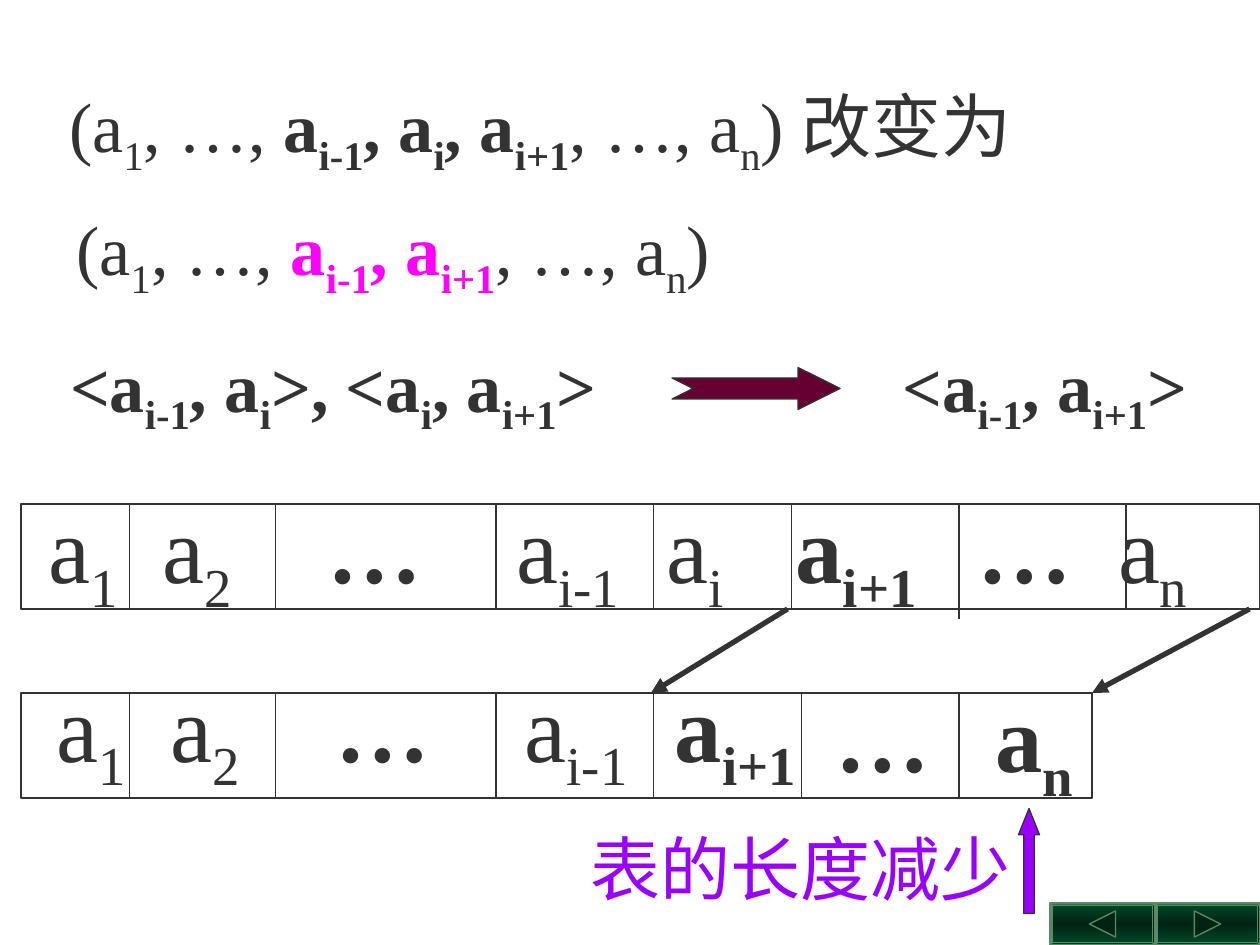
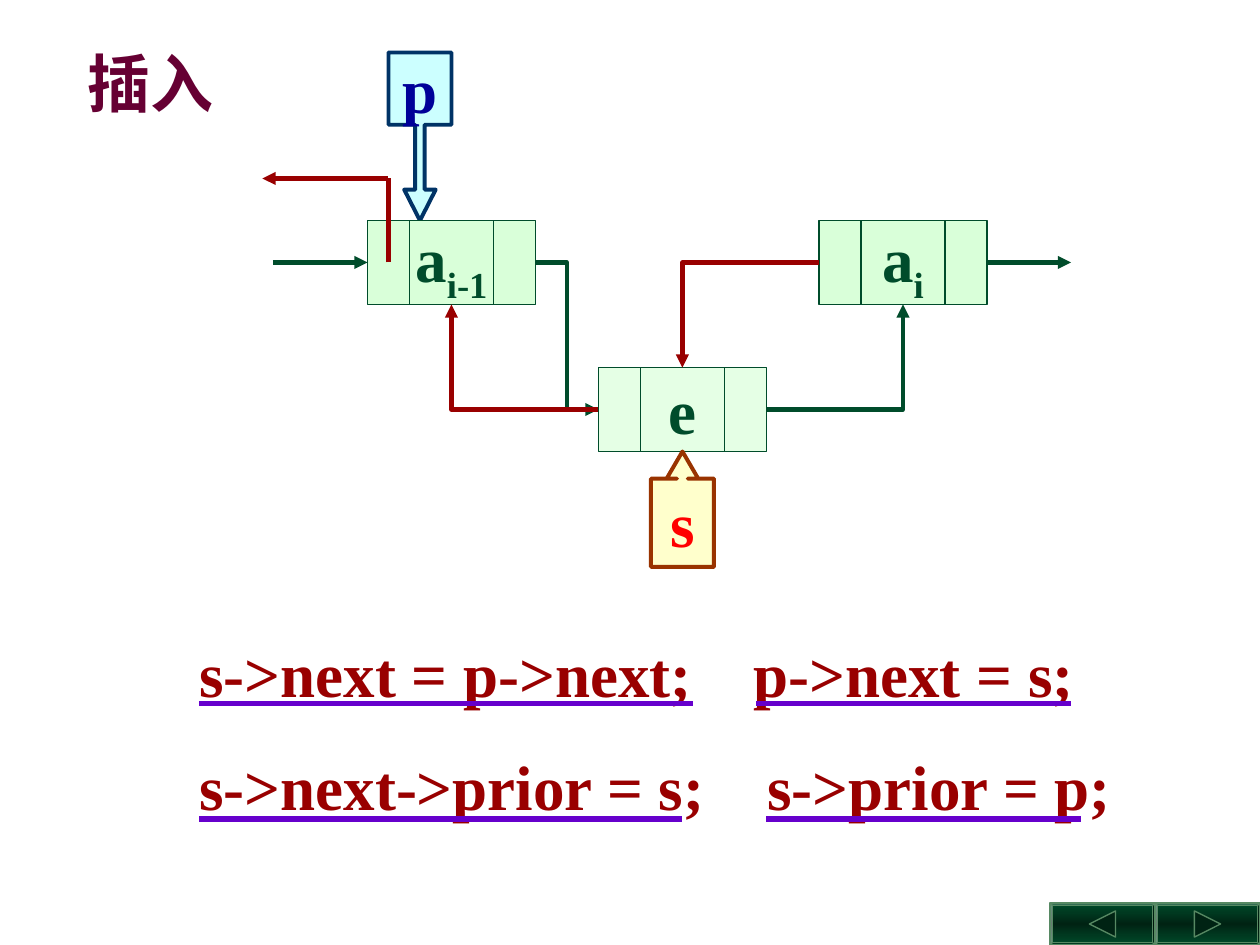
from copy import deepcopy
from itertools import zip_longest

from lxml.etree import SubElement
from pptx import Presentation
from pptx.dml.color import RGBColor
from pptx.enum.shapes import MSO_CONNECTOR, MSO_SHAPE
from pptx.enum.text import MSO_ANCHOR, MSO_AUTO_SIZE, PP_ALIGN
from pptx.oxml.ns import qn
from pptx.util import Inches, Pt

FONT = "Times New Roman"
INK, PINE, NIGHT, MOSS = "333333", "004C2B", "002313", "578963"
WINE, RED, VIOLET, INDIGO = "660033", "990000", "9900FF", "6600CC"
STOPS = [10.9, 26.6, 44.6, 58.9, 71.2, 88.5, 101.9]


def grid(*cells):
    """Turn cells of a 120 by 90 grid into lengths."""
    return [Inches(cell / 12) for cell in cells]


def tint(fmt, color):
    """Give a fill or font colour from a hex string."""
    fmt.rgb = RGBColor.from_string(color)


def stroke(line, color, width=0.75):
    """Set the colour and width of a line."""
    tint(line.fill_color if hasattr(line, "fill_color") else line.color, color)
    line.width = Pt(width)


def write(frame, text, size=40, color=INK, strong=None, bold=False,
          align=PP_ALIGN.LEFT, spacing=None, tabs=(), wrap=True):
    """Write text in which *stars* mark bold and ~tildes~ mark subscripts."""
    frame.word_wrap = wrap
    frame.auto_size = MSO_AUTO_SIZE.NONE
    lines = text.split("\n")
    for i, (words, stops) in enumerate(zip_longest(lines, tabs, fillvalue=())):
        para = frame.paragraphs[0] if i == 0 else frame.add_paragraph()
        para.alignment = align
        if stops:
            holder = SubElement(para._p.get_or_add_pPr(), qn("a:tabLst"))
            for stop in grid(*stops):
                SubElement(holder, qn("a:tab"), pos=str(stop), algn="l")
        if spacing:
            para.line_spacing = spacing
        for j, part in enumerate(words.split("*")):
            for k, piece in enumerate(part.split("~")):
                if not piece:
                    continue
                run = para.add_run()
                run.text = piece
                run.font.name, run.font.size = FONT, Pt(size)
                run.font.bold = bold or j % 2 == 1
                tint(run.font.color, strong if strong and j % 2 else color)
                if k % 2:
                    run._r.get_or_add_rPr().set("baseline", "-25000")


def label(slide, cells, text, **style):
    """Add a text box."""
    write(slide.shapes.add_textbox(*grid(*cells)).text_frame, text, **style)


def title(slide, cells, text, **style):
    """Place and fill the title placeholder."""
    box = slide.shapes.title
    box.left, box.top, box.width, box.height = grid(*cells)
    box.text_frame.vertical_anchor = MSO_ANCHOR.TOP
    write(box.text_frame, text, **style)


def shape(slide, kind, cells, fill=None, line=INK, width=0.75, adjust=()):
    """Add a preset shape without a shadow."""
    item = slide.shapes.add_shape(kind, *grid(*cells))
    item.shadow.inherit = False
    if fill:
        item.fill.solid()
        tint(item.fill.fore_color, fill)
    else:
        item.fill.background()
    stroke(item.line, line, width)
    for i, value in enumerate(adjust):
        item.adjustments[i] = value
    return item


def caption(item, text, color):
    """Write centred bold text in a shape."""
    item.text_frame.vertical_anchor = MSO_ANCHOR.MIDDLE
    write(item.text_frame, text, size=36, color=color, bold=True,
          align=PP_ALIGN.CENTER, wrap=False)


def link(slide, ends=(0, 0, 0, 0), color=INK, width=0.75, head=False,
         start=None, stop=None, bend=None):
    """Add a line or elbow, joined to (shape, side) pairs where given."""
    kind = MSO_CONNECTOR.ELBOW if bend else MSO_CONNECTOR.STRAIGHT
    line = slide.shapes.add_connector(kind, *grid(*ends))
    if start:
        line.begin_connect(*start)
    if stop:
        line.end_connect(*stop)
    stroke(line.line, color, width)
    props = line._element.spPr
    if bend:
        props.find(qn("a:prstGeom")).set("prst", bend)
    if head:
        SubElement(props.find(qn("a:ln")), qn("a:tailEnd"), type="triangle")
    SubElement(props, qn("a:effectLst"))


def split(slide, cells, marks):
    """Draw upright dividers across a box."""
    _, top, _, height = cells
    for x in marks:
        link(slide, (x, top, x, top + height), INK)


def button(slide, left, turn):
    """Add a bevelled button with a triangle and return both parts."""
    plate = shape(slide, MSO_SHAPE.BEVEL, (left, 86, 10, 4), PINE, MOSS,
                  adjust=[0.06])
    arrow = shape(slide, MSO_SHAPE.ISOSCELES_TRIANGLE,
                  (left + 3.75, 86.75, 2.5, 2.5), NIGHT, MOSS)
    arrow.rotation = turn
    plate.fill.gradient()
    plate.fill.gradient_angle = 90
    first, last = plate.fill.gradient_stops
    tint(first.color, PINE)
    tint(last.color, PINE)
    first.position, last.position = 0, 1
    mid = deepcopy(first._gs)
    first._gs.addnext(mid)
    middle = plate.fill.gradient_stops[1]
    middle.position = 0.5
    tint(middle.color, NIGHT)
    return plate, arrow


def footer(slide):
    """Put the two navigation buttons on the shared layout."""
    tree = slide.slide_layout.shapes._spTree
    parts = button(slide, 100, -90) + button(slide, 110, 90)
    for number, part in enumerate(parts, 50):
        part._element.nvSpPr.cNvPr.set("id", str(number))
        tree.append(part._element)


def node(slide, left, top, text, fill):
    """Draw a list node with its two pointer fields."""
    box = shape(slide, MSO_SHAPE.RECTANGLE, (left, top, 16, 8), fill, PINE)
    caption(box, text, PINE)
    for x in (left + 4, left + 12):
        link(slide, (x, top, x, top + 8), PINE)
    return box


def remove(slide):
    """Show how deleting an element shortens the list."""
    title(slide, (5.4, 5, 100, 12.6), spacing=1.25,
          text="(a~1~, …, *a~i-1~, a~i~, a~i+1~*, …, a~n~) 改变为")
    label(slide, (6.1, 19, 66, 10), strong="FF00FF",
          text="(a~1~, …,* a~i-1~, a~i+1~*, …, a~n~)")
    label(slide, (5.5, 32, 56, 10), "<a~i-1~, a~i~>, <a~i~, a~i+1~>", bold=True)
    shape(slide, MSO_SHAPE.NOTCHED_RIGHT_ARROW, (64, 35, 16, 4), WINE,
          adjust=[0.5, 1])
    label(slide, (84.8, 32, 32, 10), "<a~i-1~, a~i+1~>", bold=True)

    marks = [12.35, 26.25, 47.25, 62.25]
    before, after = (2, 48, 118, 10), (2, 66, 102, 10)
    label(slide, (3.4, 46, 116.6, 13.6), size=54, tabs=[STOPS],
          text="a~1~\ta~2~\t*…*\ta~i-1~\ta~i~\t*a~i+1~*\t*…*\ta~n~")
    label(slide, (4.2, 63, 75, 13.6), size=54, tabs=[STOPS[:4]],
          text="a~1~\ta~2~\t*…*\ta~i-1~\t*a~i+1~*")
    label(slide, (78.4, 64, 12.5, 12), "…", size=54, bold=True)
    label(slide, (93.6, 64, 11, 13.6), "a~n~", size=54, bold=True)
    split(slide, before, marks + [75.35, 107.25])
    link(slide, (91.35, 48, 91.35, 59))
    split(slide, after, marks + [76.35, 91.35])
    for cells in (before, after):
        shape(slide, MSO_SHAPE.RECTANGLE, cells)
    link(slide, (75, 58, 62, 66), width=3, head=True)
    link(slide, (119, 58, 104, 66), width=3, head=True)
    label(slide, (55.1, 78, 43.5, 9), "表的长度减少", color=VIOLET)
    shape(slide, MSO_SHAPE.UP_ARROW, (97, 77, 2, 10), VIOLET,
          adjust=[0.5, 1.25])


def insert(slide):
    """Show how a node enters a doubly linked list."""
    title(slide, (7.1, 3.6, 16, 8.4), "插入", size=36, color=WINE, bold=True)
    flag = shape(slide, MSO_SHAPE.DOWN_ARROW_CALLOUT, (37, 5, 6, 16), "CCFFFF",
                 "003366", 2.25, [0.15, 0.25, 0.49, 0.43])
    caption(flag, "p", "000099")
    prev = node(slide, 35, 21, "a~i-1~", "D9FFD9")
    succ = node(slide, 78, 21, "a~i~", "D9FFD9")
    new = node(slide, 57, 35, "e", "E5FFE5")
    flag = shape(slide, MSO_SHAPE.UP_ARROW_CALLOUT, (62, 43, 6, 11), "FFFFCC",
                 "993300", 2.25, [0.17, 0.25, 0.43, 1.12])
    caption(flag, "s", "FF0000")

    link(slide, (26, 25, 35, 25), PINE, 2.5, True, stop=(prev, 1))
    link(slide, (94, 25, 102, 25), PINE, 2.5, True, start=(succ, 3))
    link(slide, (37, 25, 37, 17), RED, 2.5)
    link(slide, (37, 17, 25, 17), RED, 2.5, True)
    bends = [(PINE, (new, 3), (succ, 2), "bentConnector2"),
             (PINE, (prev, 3), (new, 1), "bentConnector3"),
             (RED, (succ, 1), (new, 0), "bentConnector2"),
             (RED, (new, 1), (prev, 2), "bentConnector2")]
    for color, start, stop, bend in bends:
        link(slide, color=color, width=2.5, head=True, start=start, stop=stop,
             bend=bend)

    label(slide, (17.8, 56.2, 95, 22.8), size=36, color=RED, bold=True,
          spacing=1.5, tabs=[[52.8], [54.1]],
          text="s->next = p->next;\tp->next = s;\n"
               "s->next->prior = s;\ts->prior = p;")
    for left, right, y in [(19, 66, 67), (72, 102, 67),
                           (19, 65, 78), (73, 103, 78)]:
        link(slide, (left, y, right, y), INDIGO, 3)


def main():
    """Build and save both slides."""
    deck = Presentation()
    deck.slide_width, deck.slide_height = grid(120, 90)
    layout = deck.slide_layouts[5]
    slides = [deck.slides.add_slide(layout) for _ in range(2)]
    footer(slides[0])
    remove(slides[0])
    insert(slides[1])
    deck.save("out.pptx")


if __name__ == "__main__":
    main()
